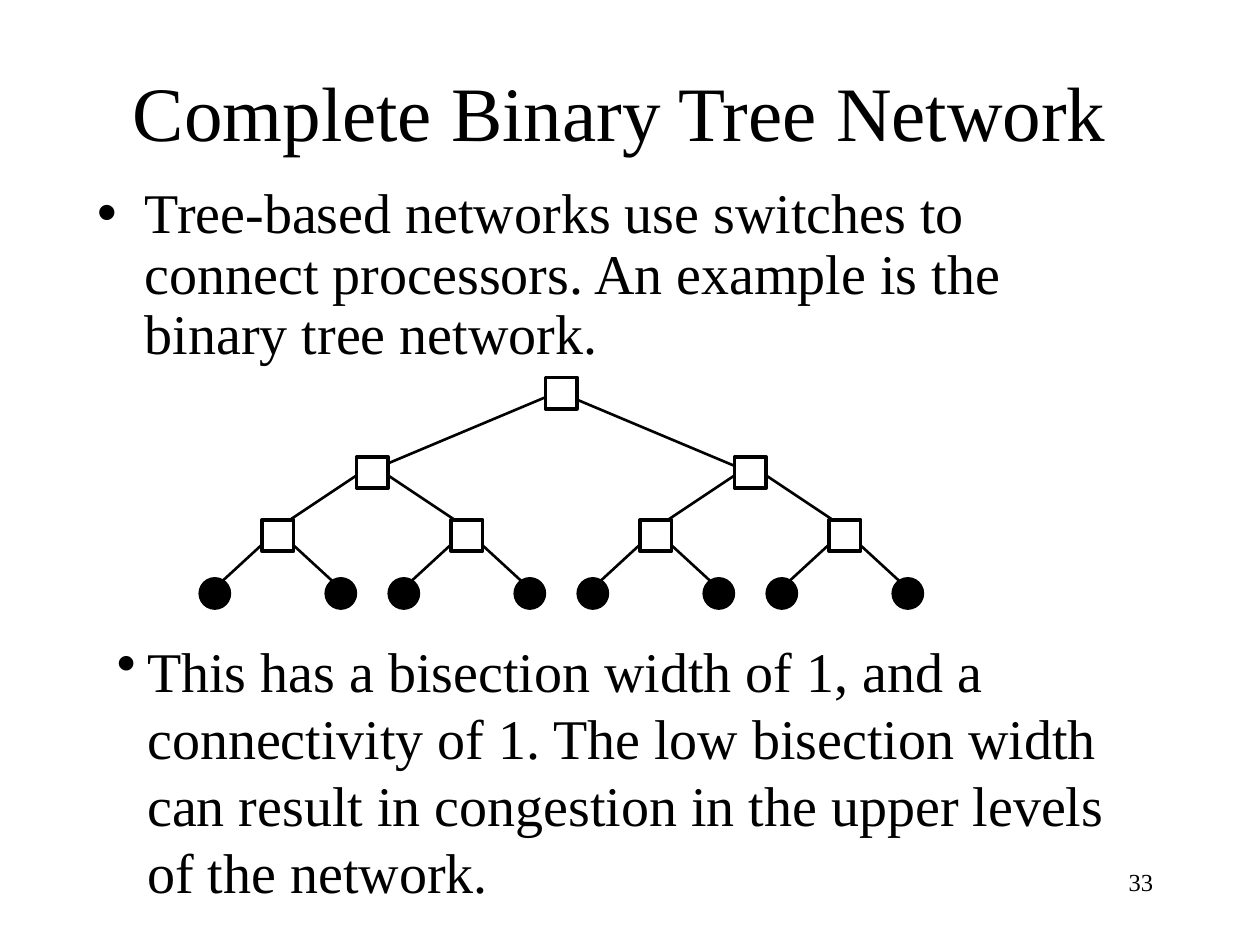
from pptx import Presentation
from pptx.dml.color import RGBColor
from pptx.enum.shapes import MSO_CONNECTOR as Link, MSO_SHAPE as Kind
from pptx.enum.text import MSO_ANCHOR as Anchor, MSO_AUTO_SIZE as Fit, PP_ALIGN as Align
from pptx.oxml.ns import qn
from pptx.util import Inches, Pt
from lxml.etree import SubElement

HUES = {"ink": "000000", "paper": "FFFFFF"}
FACE = "Times New Roman"
NODE = 0.25
ROWS = (0.12, 0.75, 1.25, 1.71)   # centre of each tree level below the top
REACH = (1.5, 0.75, 0.5)          # sideways step from a parent to its children
# Shift of the left and right edge leaving each level
SHIFT = (((0, -0.02), (0, 0)), ((0, -0.06), (0, -0.06)), ((0.04, -0.08), (0.04, 0)))


def hue(name):
    return RGBColor.from_string(HUES[name])


def place(shape, box):
    shape.left, shape.top, shape.width, shape.height = map(Inches, box)


def write(shape, text, size, align=Align.LEFT, anchor=Anchor.TOP, hang=0, lead=1.0):
    """Fill a shape with one paragraph; a hang above zero makes it a bullet."""
    frame = shape.text_frame
    frame.word_wrap = True
    frame.auto_size = Fit.NONE
    frame.vertical_anchor = anchor
    frame.text = text
    para = frame.paragraphs[0]
    para.alignment = align
    para.line_spacing = lead
    para.space_before = Pt(0)
    if hang:
        props = para._p.get_or_add_pPr()
        props.set("marL", str(Inches(hang)))
        props.set("indent", str(-Inches(hang)))
        SubElement(props, qn("a:buChar")).set("char", "•")
    para.font.name = FACE
    para.font.size = Pt(size)
    para.font.color.rgb = hue("ink")


def draw_node(group, x, y, leaf):
    half = NODE / 2
    kind = Kind.OVAL if leaf else Kind.RECTANGLE
    node = group.shapes.add_shape(kind, *map(Inches, (x - half, y - half, NODE, NODE)))
    node.shadow.inherit = False
    node.fill.solid()
    node.fill.fore_color.rgb = hue("ink" if leaf else "paper")
    node.line.color.rgb = hue("ink")
    node.line.width = Pt(0.75 if leaf else 2)


def draw_edge(group, start, end, shift):
    dx, dy = shift
    ends = (start[0] + dx, start[1] + dy, end[0] + dx, end[1] + dy)
    edge = group.shapes.add_connector(Link.STRAIGHT, *map(Inches, ends))
    edge.line.color.rgb = hue("ink")
    edge.line.width = Pt(1.5)
    SubElement(edge._element.spPr, qn("a:effectLst"))


def draw_tree(slide, box):
    left, top, width, _ = box
    group = slide.shapes.add_group_shape()
    levels = [[left + width / 2]]
    for reach in REACH:
        levels.append([x + side * reach for x in levels[-1] for side in (-1, 1)])
    for depth, shifts in enumerate(SHIFT):
        y, below = top + ROWS[depth], top + ROWS[depth + 1]
        for i, x in enumerate(levels[depth]):
            for side, shift in enumerate(shifts):
                child = levels[depth + 1][2 * i + side]
                draw_edge(group, (x, y), (child, below), shift)
    for depth, row in enumerate(levels):
        for x in row:
            draw_node(group, x, top + ROWS[depth], depth == len(REACH))


def draw_text(slide, box, *args, **opts):
    shape = slide.shapes.add_textbox(*map(Inches, box))
    write(shape, *args, **opts)


def build():
    deck = Presentation()
    deck.slide_width, deck.slide_height = Inches(10), Inches(7.5)
    slide = deck.slides.add_slide(deck.slide_layouts[1])
    title, body = slide.placeholders
    place(title, (0.67, 0.25, 8.5, 1.25))
    write(title, "Complete Binary Tree Network", 44, Align.CENTER, Anchor.MIDDLE)
    place(body, (0.67, 1.42, 8.5, 1.67))
    write(body, "Tree-based networks use switches to connect processors. "
          "An example is the binary tree network.", 32, hang=0.38, lead=0.9)
    draw_tree(slide, (1.58, 3, 5.75, 1.84))
    draw_text(slide, (0.83, 5, 8.42, 2.23),
              "This has a bisection width of 1, and a connectivity of 1. "
              "The low bisection width can result in congestion in the upper levels "
              "of the network.", 32, hang=0.24)
    draw_text(slide, (7.17, 6.83, 2.08, 0.5), "33", 14, Align.RIGHT)
    deck.save("out.pptx")


if __name__ == "__main__":
    build()
